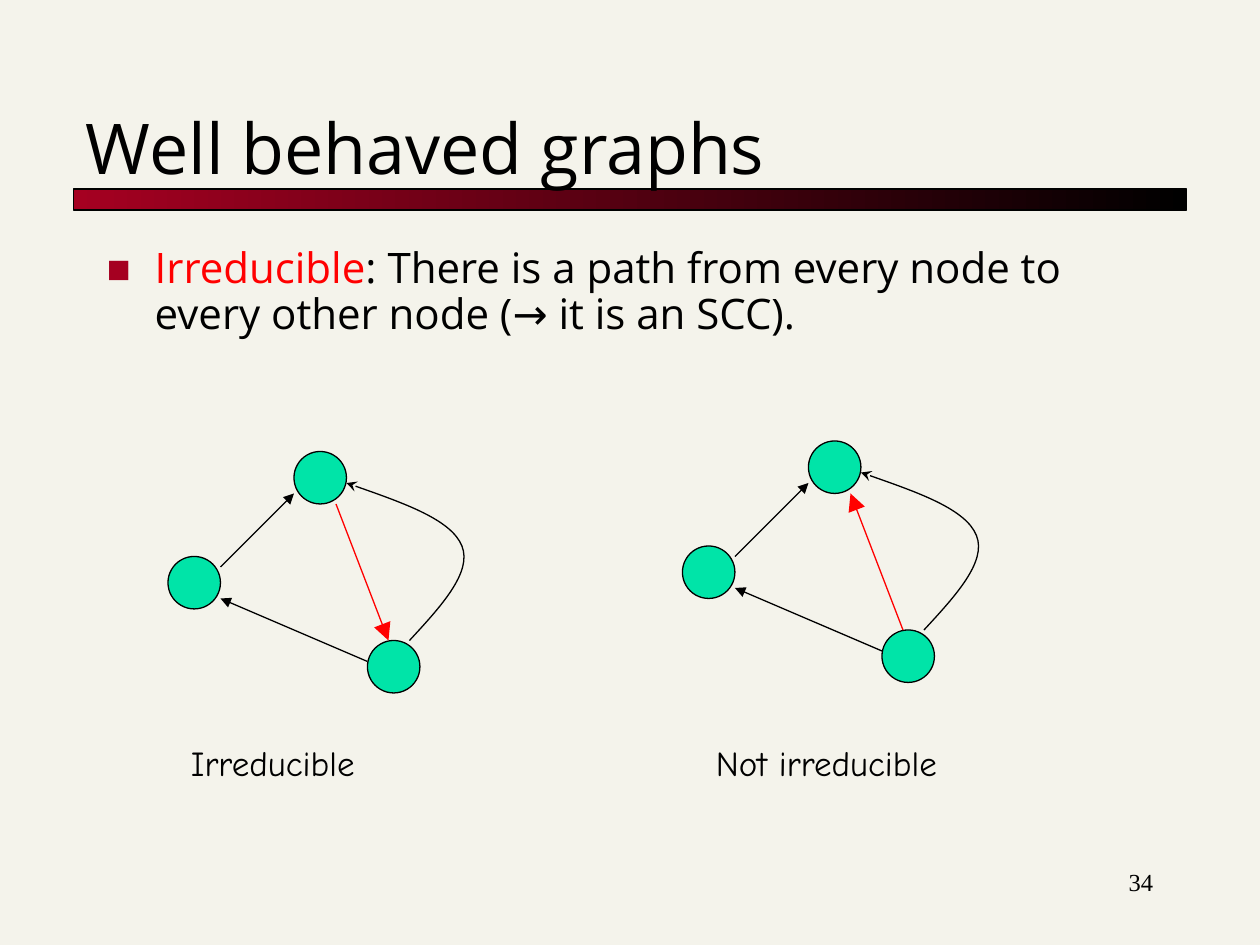
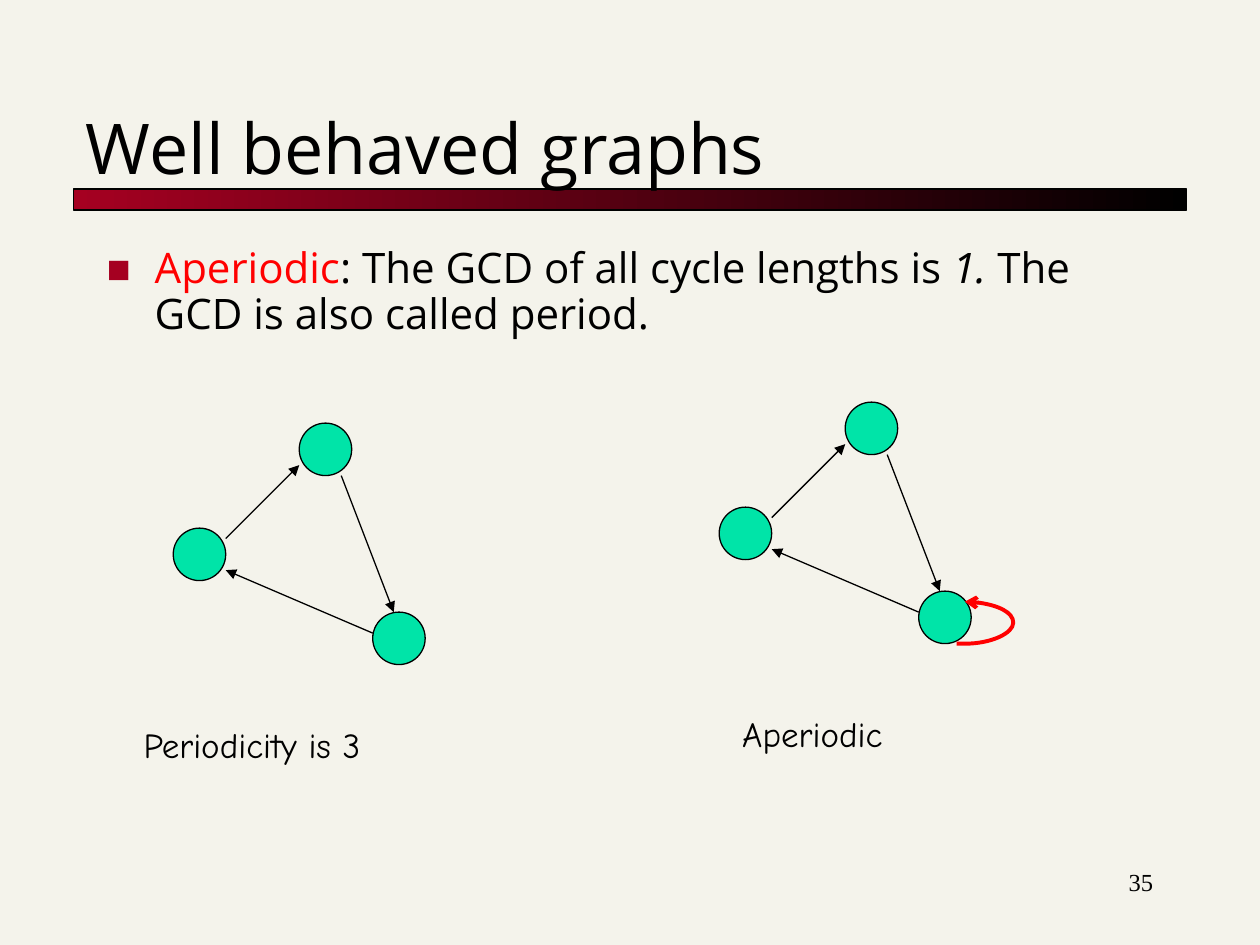
from dataclasses import dataclass
from typing import Any, NamedTuple

from lxml.etree import SubElement
from pptx import Presentation
from pptx.dml.color import RGBColor
from pptx.enum.shapes import MSO_CONNECTOR, MSO_SHAPE
from pptx.enum.text import MSO_ANCHOR, PP_ALIGN
from pptx.oxml.ns import qn
from pptx.util import Inches, Pt

CELL = Inches(1) // 12  # the slide is a grid of 120 columns by 90 rows


@dataclass(frozen=True)
class Theme:
    paper: str = "F4F3EB"
    ink: str = "000000"
    red: str = "FF0000"
    wine: str = "A50021"
    node: str = "00E4A8"
    sans: str = "Open Sans"
    comic: str = "Comic Neue"
    serif: str = "Times New Roman"
    head: int = 40
    body: int = 24
    note: int = 20
    page: int = 14
    thin: float = 0.75
    bold: float = 2.25


THEME = Theme()


class Box(NamedTuple):
    col: float
    row: float
    wide: float
    high: float


class Run(NamedTuple):
    text: str
    color: str = THEME.ink
    italic: bool = False


class Edge(NamedTuple):
    start: tuple[float, float]
    end: tuple[float, float]
    color: str = THEME.ink
    size: str = "med"


class Curve(NamedTuple):
    """Cubic curve: a start point, then three points for each piece."""
    points: tuple[tuple[float, float], ...]
    end: str
    head: str
    color: str = THEME.ink
    width: float = THEME.thin


class Graph(NamedTuple):
    col: float
    row: float
    links: tuple[Edge | Curve, ...]
    label: str
    spot: Box


class Page(NamedTuple):
    number: int
    runs: tuple[Run, ...]
    graphs: tuple[Graph, ...]


TITLE = Box(7, 5, 106, 13)
BAR = Box(7, 18, 106, 2)
BODY = Box(9, 23, 102, 64)
FOOT = Box(86, 82, 25, 6)

# Node and link places count cells from the corner of their graph.
SIZE = 5
NODES = ((0, 10), (12, 0), (19, 18))
SIDES = (Edge((5, 11), (12, 4)), Edge((19, 20), (5, 14)))
TOP, LOW = (16, 5), (21, 18)
DOWN = Edge(TOP, LOW)
ARC = Curve(((23, 18), (26, 14.75), (29, 11.5), (28, 9),
             (27, 6.5), (22, 4.75), (17, 3)), "tailEnd", "stealth")
LOOP = Curve(((23.4, 19), (25.9, 19), (28, 20), (28, 21),
              (28, 22), (25.9, 23), (23.4, 23),
              (23.1, 23), (22.9, 23), (22.6, 23)),
             "headEnd", "arrow", THEME.red, THEME.bold)

PAGES = (
    Page(34, (Run("Irreducible", THEME.red),
              Run(": There is a path from every node to every other node "
                  "(→ it is an SCC).")), (
        Graph(16, 43, (*SIDES, Edge(TOP, LOW, THEME.red, "lg"), ARC),
              "Irreducible", Box(17, 70, 29, 6)),
        Graph(65, 42, (*SIDES, Edge(LOW, TOP, THEME.red, "lg"), ARC),
              "Not irreducible", Box(67, 70, 38, 6)))),
    Page(35, (Run("Aperiodic", THEME.red),
              Run(": The GCD of all cycle lengths is "),
              Run("1. ", italic=True),
              Run("The GCD is also called period.")), (
        Graph(16.5, 40.3, (*SIDES, DOWN),
              "Periodicity is 3", Box(12.5, 68.3, 38, 6)),
        Graph(68.5, 38.3, (*SIDES, DOWN, LOOP),
              "Aperiodic", Box(69.5, 67.3, 33, 6)))),
)


def span(*cells: float) -> list[int]:
    return [round(cell * CELL) for cell in cells]


def tint(color: str) -> RGBColor:
    return RGBColor.from_string(color)


def apply(target: Any, **values: Any) -> None:
    for name, value in values.items():
        setattr(target, name, value)


def stroke(line: Any, color: str, width: float = THEME.thin) -> None:
    line.color.rgb = tint(color)
    line.width = Pt(width)


def tip(shape: Any, end: str, head: str, size: str = "med") -> None:
    """Put an arrowhead on a line that already has its colour."""
    SubElement(shape.line._get_or_add_ln(), qn(f"a:{end}"),
               type=head, w=size, len=size)


def write(slide: Any, box: Box, runs: tuple[Run, ...], font: str, size: int,
          frame: dict | None = None, form: dict | None = None,
          mark: bool = False) -> None:
    area = slide.shapes.add_textbox(*span(*box)).text_frame
    apply(area, word_wrap=True, **(frame or {}))
    para = area.paragraphs[0]
    if mark:
        bullet(para)
    apply(para, **(form or {}))
    for item in runs:
        run = para.add_run()
        run.text = item.text
        apply(run.font, name=font, size=Pt(size), italic=item.italic)
        run.font.color.rgb = tint(item.color)


def bullet(para: Any) -> None:
    props = para._p.get_or_add_pPr()
    indent = Inches(0.38)
    props.set("marL", str(indent))
    props.set("indent", str(-indent))
    color = SubElement(props, qn("a:buClr"))
    SubElement(color, qn("a:srgbClr"), val=THEME.wine)
    SubElement(props, qn("a:buSzPct"), val="60000")
    SubElement(props, qn("a:buFont"), typeface=THEME.sans)
    SubElement(props, qn("a:buChar"), char="■")


def band(slide: Any) -> None:
    bar = slide.shapes.add_shape(MSO_SHAPE.RECTANGLE, *span(*BAR))
    bar.shadow.inherit = False
    bar.fill.gradient()
    bar.fill.gradient_angle = 0
    for place, (stop, color) in enumerate(
            zip(bar.fill.gradient_stops, (THEME.wine, THEME.ink))):
        stop.color.rgb = tint(color)
        stop.position = place
    stroke(bar.line, THEME.ink)


def dot(slide: Any, col: float, row: float) -> None:
    shape = slide.shapes.add_shape(MSO_SHAPE.OVAL,
                                   *span(col, row, SIZE, SIZE))
    shape.shadow.inherit = False
    shape.fill.solid()
    shape.fill.fore_color.rgb = tint(THEME.node)
    stroke(shape.line, THEME.ink)


def arrow(slide: Any, graph: Graph, edge: Edge) -> None:
    ends = [side + shift for point in (edge.start, edge.end)
            for side, shift in zip(point, (graph.col, graph.row))]
    line = slide.shapes.add_connector(MSO_CONNECTOR.STRAIGHT, *span(*ends))
    stroke(line.line, edge.color)
    tip(line, "tailEnd", "triangle", edge.size)
    SubElement(line._element.spPr, qn("a:effectLst"))


def bend(slide: Any, graph: Graph, curve: Curve) -> None:
    """Draw the points as a freeform, then join each three into a cubic."""
    first, *rest = [span(graph.col + x, graph.row + y)
                    for x, y in curve.points]
    pen = slide.shapes.build_freeform(*first)
    pen.add_line_segments(rest, close=False)
    shape = pen.convert_to_shape()
    shape.shadow.inherit = False
    shape.fill.background()
    stroke(shape.line, curve.color, curve.width)
    tip(shape, curve.end, curve.head)
    route = next(shape._element.iter(qn("a:path")))
    steps = route.findall(qn("a:lnTo"))
    for index in range(0, len(steps), 3):
        cubic = SubElement(route, qn("a:cubicBezTo"))
        for step in steps[index:index + 3]:
            cubic.append(step[0])
            route.remove(step)


def plot(slide: Any, graph: Graph) -> None:
    for col, row in NODES:
        dot(slide, graph.col + col, graph.row + row)
    for link in graph.links:
        draw = arrow if isinstance(link, Edge) else bend
        draw(slide, graph, link)
    write(slide, graph.spot, (Run(graph.label),), THEME.comic, THEME.note)


def build(deck: Any, page: Page) -> None:
    slide = deck.slides.add_slide(deck.slide_layouts[6])
    slide.background.fill.solid()
    slide.background.fill.fore_color.rgb = tint(THEME.paper)
    band(slide)
    write(slide, FOOT, (Run(str(page.number)),), THEME.serif, THEME.page,
          form={"alignment": PP_ALIGN.RIGHT})
    write(slide, TITLE, (Run("Well behaved graphs"),), THEME.sans, THEME.head,
          frame={"vertical_anchor": MSO_ANCHOR.BOTTOM, "margin_bottom": 0})
    write(slide, BODY, page.runs, THEME.sans, THEME.body,
          form={"line_spacing": 0.9}, mark=True)
    for graph in page.graphs:
        plot(slide, graph)


def main() -> None:
    deck = Presentation()
    apply(deck, slide_width=120 * CELL, slide_height=90 * CELL)
    for page in PAGES:
        build(deck, page)
    deck.save("out.pptx")


if __name__ == "__main__":
    main()
